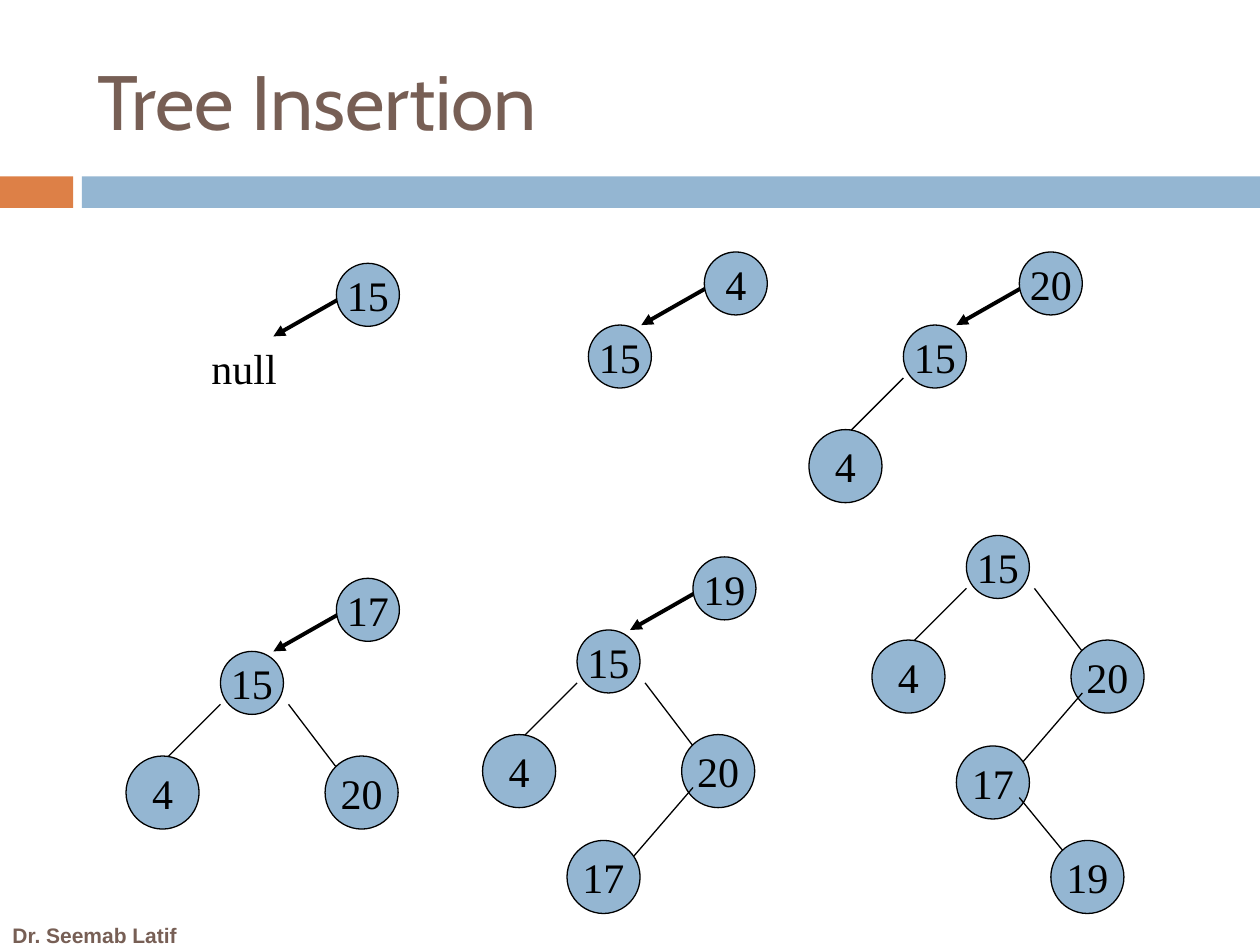
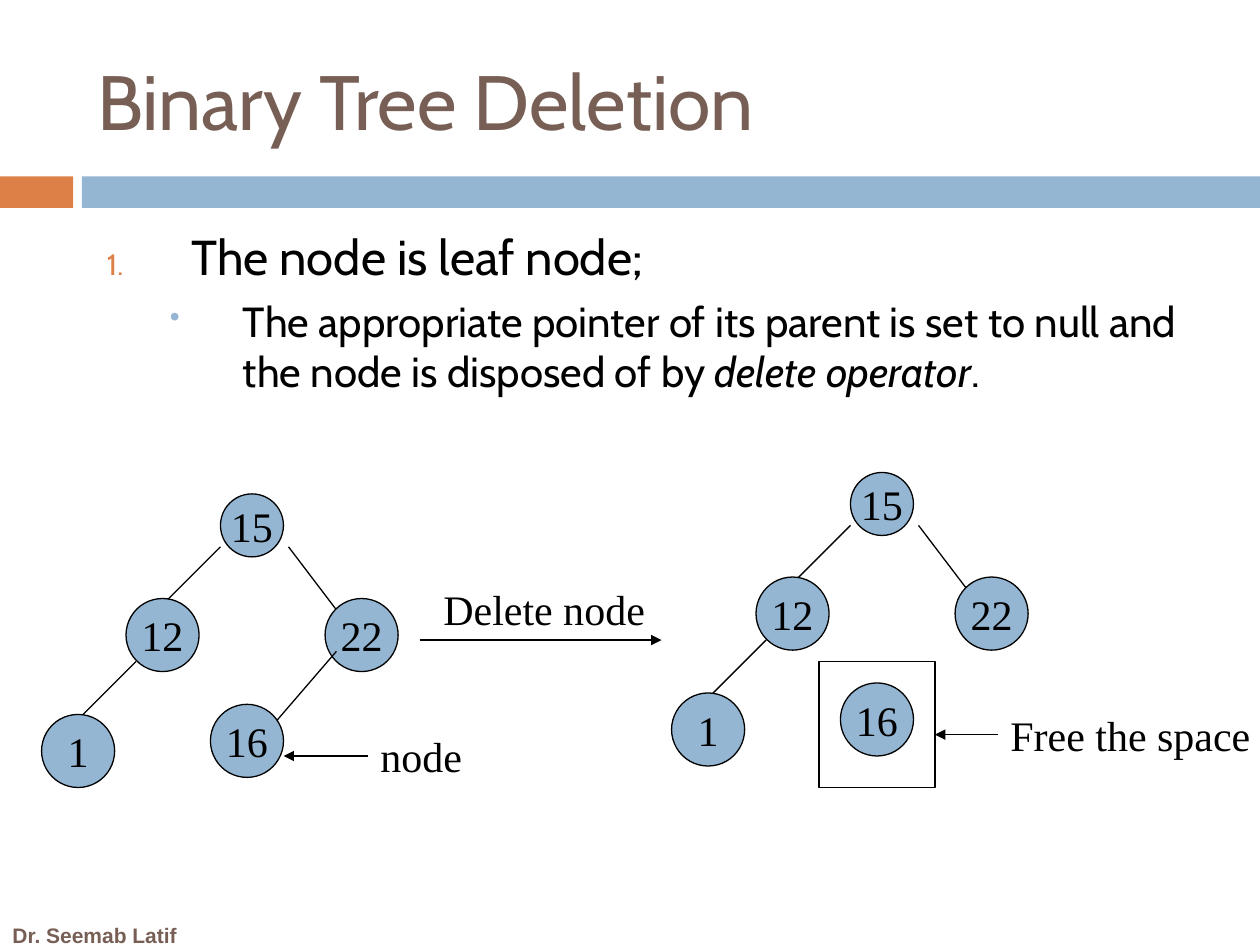
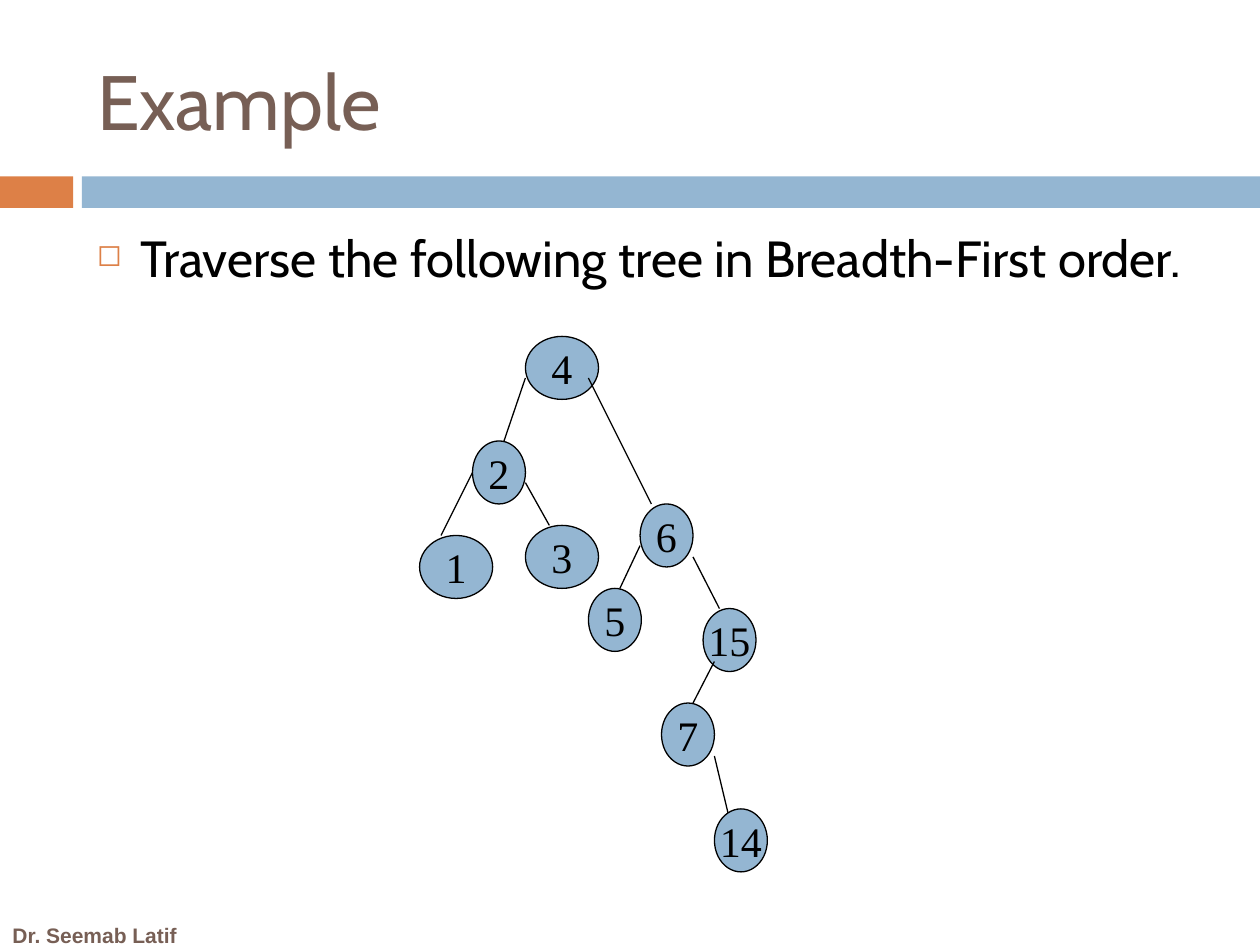
from dataclasses import dataclass

from lxml import etree
from pptx import Presentation
from pptx import util as u
from pptx.dml import color
from pptx.enum import shapes, text
from pptx.oxml import ns


@dataclass(frozen=True)
class Theme:
    brown: str = "775F55"
    orange: str = "DD8047"
    blue: str = "94B6D2"
    ink: str = "000000"
    title_size: float = 44
    node_size: float = 24
    footer_size: float = 12
    thin: float = 0.75
    thick: float = 2.25
    heading_font: str = "Cabin"
    node_font: str = "Times New Roman"
    footer_font: str = "Arial"


THEME = Theme()
AUTHOR = "Dr. Seemab Latif"
TITLE_BOX = (0.67, 0.25, 8.92, 1.08)
FOOTER_BOX = (0, 7.27, 1.58, 0.23)
BANDS = [((0, 1.4, 0.58, 0.25), THEME.orange), ((0.65, 1.4, 9.35, 0.25), THEME.blue)]

SMALL, LARGE = (0.5, 0.5), (0.58, 0.58)
SLOTS = {
    "new": ((0.92, -0.58), SMALL, ((1, -0.33), (0.42, 0))),
    "root": ((0, 0), SMALL, None),
    "left": ((-0.75, 0.83), LARGE, ((0, 0.42), (-0.5, 0.92))),
    "right": ((0.83, 0.83), LARGE, ((0.54, 0.42), (0.92, 0.92))),
    "left left": ((-1.42, 1.75), LARGE, ((-0.67, 1.33), (-1.17, 1.83))),
    "right left": ((-0.08, 1.67), LARGE, ((0.92, 1.25), (0.42, 1.83))),
    "detached": ((-0.08, 1.67), LARGE, None),
    "right left right": ((0.67, 2.42), LARGE, ((0.42, 2.08), (0.83, 2.58))),
}

INSERTION = {
    "title": "Tree Insertion",
    "trees": [
        ((1.75, 2.67), {"new": "15"}),
        ((4.67, 2.58), {"new": "4", "root": "15"}),
        ((7.17, 2.58), {"new": "20", "root": "15", "left": "4"}),
        ((1.75, 5.17), {"new": "17", "root": "15", "left": "4", "right": "20"}),
        ((4.58, 5), {"new": "19", "root": "15", "left": "4", "right": "20",
                     "right left": "17"}),
        ((7.67, 4.25), {"root": "15", "left": "4", "right": "20",
                        "right left": "17", "right left right": "19"}),
    ],
    "labels": [("null", (1.58, 2.67, 0.75, 0.5))],
}

DELETION = {
    "title": "Binary Tree Deletion",
    "body_box": (0.75, 1.75, 8.83, 5),
    "body": [
        dict(runs=[("The node is leaf node;", False)], size=28, before=0,
             left=0.67, hang=0.67, bullet="1.", bullet_color=THEME.orange, percent=60),
        dict(runs=[("The appropriate pointer of its parent is set to null and "
                    "the node is disposed of by ", False),
                   ("delete operator", True), (".", False)], size=24, before=5.5,
             left=1.08, hang=0.58, bullet="•", bullet_color=THEME.blue, percent=70),
    ],
    "trees": [
        ((1.75, 3.92), {"root": "15", "left": "12", "right": "22",
                        "right left": "16", "left left": "1"}),
        ((6.75, 3.75), {"root": "15", "left": "12", "right": "22",
                        "detached": "16", "left left": "1"}),
    ],
    "arrows": [((2.92, 6), (2.25, 6)), ((3.33, 5.08), (5.25, 5.08)),
               ((7.92, 5.83), (7.42, 5.83))],
    "labels": [("node", (2.92, 5.75, 0.92, 0.5)),
               ("Delete node", (3.42, 4.58, 1.92, 0.5)),
               ("Free the space", (7.92, 5.58, 2.42, 0.5))],
    "freed_space": (6.5, 5.25, 0.92, 1),
}

WIDE, NARROW = (0.58, 0.5), (0.42, 0.5)
TRAVERSAL = {
    "title": "Example",
    "body_box": (0.67, 1.75, 8.92, 4.92),
    "body": [
        dict(runs=[("Traverse the following tree in Breadth-First order.", False)],
             size=29, before=0, left=0.35, hang=0.35, bullet="◻",
             bullet_color=THEME.orange, percent=60),
    ],
    "nodes": [
        ("4", (4.17, 2.67), WIDE, None),
        ("2", (3.75, 3.5), NARROW, ((4.17, 3), (4, 3.5))),
        ("6", (5.08, 4), NARROW, ((4.67, 3), (5.17, 4))),
        ("1", (3.33, 4.25), WIDE, ((3.75, 3.75), (3.5, 4.25))),
        ("3", (4.17, 4.17), WIDE, ((4.17, 3.83), (4.36, 4.17))),
        ("5", (4.67, 4.67), NARROW, ((5.08, 4.33), (4.92, 4.67))),
        ("15", (5.58, 4.83), NARROW, ((5.5, 4.42), (5.71, 4.83))),
        ("7", (5.25, 5.58), NARROW, ((5.67, 5.25), (5.5, 5.58))),
        ("14", (5.67, 6.42), NARROW, ((5.67, 6), (5.83, 6.67))),
    ],
}


def inches(lengths):
    return [u.Inches(length) for length in lengths]


def rgb(code):
    return color.RGBColor.from_string(code)


def shifted(origin, offset):
    return tuple(start + step for start, step in zip(origin, offset))


def set_all(target, values):
    for name, value in values.items():
        setattr(target, name, value)


def write(paragraph, words, font, size, ink, **style):
    run = paragraph.add_run()
    run.text = words
    set_all(run.font, dict(name=font, size=u.Pt(size), **style))
    run.font.color.rgb = rgb(ink)


def add_block(slide, kind, box, fill=None, outline=None):
    block = slide.shapes.add_shape(kind, *inches(box))
    block.shadow.inherit = False
    if fill:
        block.fill.solid()
        block.fill.fore_color.rgb = rgb(fill)
    else:
        block.fill.background()
    if outline:
        block.line.color.rgb = rgb(outline)
        block.line.width = u.Pt(THEME.thin)
    else:
        block.line.fill.background()
    return block


def add_label(slide, words, box, font=THEME.node_font, size=THEME.node_size,
              ink=THEME.ink, **style):
    frame = slide.shapes.add_textbox(*inches(box)).text_frame
    frame.word_wrap = True
    write(frame.paragraphs[0], words, font, size, ink, **style)


def add_edge(slide, start, end, weight=THEME.thin, arrow=False):
    edge = slide.shapes.add_connector(shapes.MSO_CONNECTOR.STRAIGHT,
                                      *inches(start + end))
    edge.line.color.rgb = rgb(THEME.ink)
    edge.line.width = u.Pt(weight)
    if arrow:
        etree.SubElement(edge.get_or_add_ln(), ns.qn("a:tailEnd"), type="triangle")
    etree.SubElement(edge._element.spPr, ns.qn("a:effectLst"))


def add_node(slide, value, corner, size):
    node = add_block(slide, shapes.MSO_SHAPE.OVAL, corner + size, THEME.blue, THEME.ink)
    frame = node.text_frame
    set_all(frame, dict(word_wrap=False, vertical_anchor=text.MSO_ANCHOR.MIDDLE))
    frame.paragraphs[0].alignment = text.PP_ALIGN.CENTER
    write(frame.paragraphs[0], value, THEME.node_font, THEME.node_size, THEME.ink)


def add_tree(slide, origin, values):
    for slot, value in values.items():
        offset, size, edge = SLOTS[slot]
        if edge:
            start, end = (shifted(origin, point) for point in edge)
            incoming = slot == "new"
            add_edge(slide, start, end, THEME.thick if incoming else THEME.thin, incoming)
        add_node(slide, value, shifted(origin, offset), size)


def add_bullet(paragraph, point):
    props = paragraph._p.get_or_add_pPr()
    props.set("marL", str(u.Inches(point["left"])))
    props.set("indent", str(-u.Inches(point["hang"])))
    tint = etree.SubElement(props, ns.qn("a:buClr"))
    etree.SubElement(tint, ns.qn("a:srgbClr"), val=point["bullet_color"])
    etree.SubElement(props, ns.qn("a:buSzPct"), val=str(point["percent"] * 1000))
    if point["bullet"] == "1.":
        etree.SubElement(props, ns.qn("a:buAutoNum"), type="arabicPeriod")
    else:
        etree.SubElement(props, ns.qn("a:buChar"), char=point["bullet"])


def add_body(slide, box, points):
    frame = slide.shapes.add_textbox(*inches(box)).text_frame
    frame.word_wrap = True
    for index, point in enumerate(points):
        paragraph = frame.add_paragraph() if index else frame.paragraphs[0]
        add_bullet(paragraph, point)
        paragraph.space_before = u.Pt(point["before"])
        for words, italic in point["runs"]:
            write(paragraph, words, THEME.heading_font, point["size"], THEME.ink,
                  italic=italic)


def add_frame(deck, heading):
    slide = deck.slides.add_slide(deck.slide_layouts[5])
    for box, fill in BANDS:
        add_block(slide, shapes.MSO_SHAPE.RECTANGLE, box, fill)
    add_label(slide, AUTHOR, FOOTER_BOX, THEME.footer_font, THEME.footer_size,
              THEME.brown, bold=True)
    title = slide.shapes.title
    set_all(title, dict(zip(("left", "top", "width", "height"), inches(TITLE_BOX))))
    set_all(title.text_frame, dict(word_wrap=True, auto_size=text.MSO_AUTO_SIZE.NONE,
                                   vertical_anchor=text.MSO_ANCHOR.MIDDLE))
    title.text_frame.paragraphs[0].alignment = text.PP_ALIGN.LEFT
    write(title.text_frame.paragraphs[0], heading, THEME.heading_font,
          THEME.title_size, THEME.brown)
    return slide


def build_slide(deck, content):
    slide = add_frame(deck, content["title"])
    if "body" in content:
        add_body(slide, content["body_box"], content["body"])
    for origin, values in content.get("trees", []):
        add_tree(slide, origin, values)
    for value, corner, size, edge in content.get("nodes", []):
        if edge:
            add_edge(slide, *edge)
        add_node(slide, value, corner, size)
    for start, end in content.get("arrows", []):
        add_edge(slide, start, end, arrow=True)
    for words, box in content.get("labels", []):
        add_label(slide, words, box)
    if "freed_space" in content:
        add_block(slide, shapes.MSO_SHAPE.RECTANGLE, content["freed_space"],
                  outline=THEME.ink)


def main():
    deck = Presentation()
    set_all(deck, dict(slide_width=u.Inches(10), slide_height=u.Inches(7.5)))
    for content in (INSERTION, DELETION, TRAVERSAL):
        build_slide(deck, content)
    deck.save("out.pptx")


if __name__ == "__main__":
    main()
